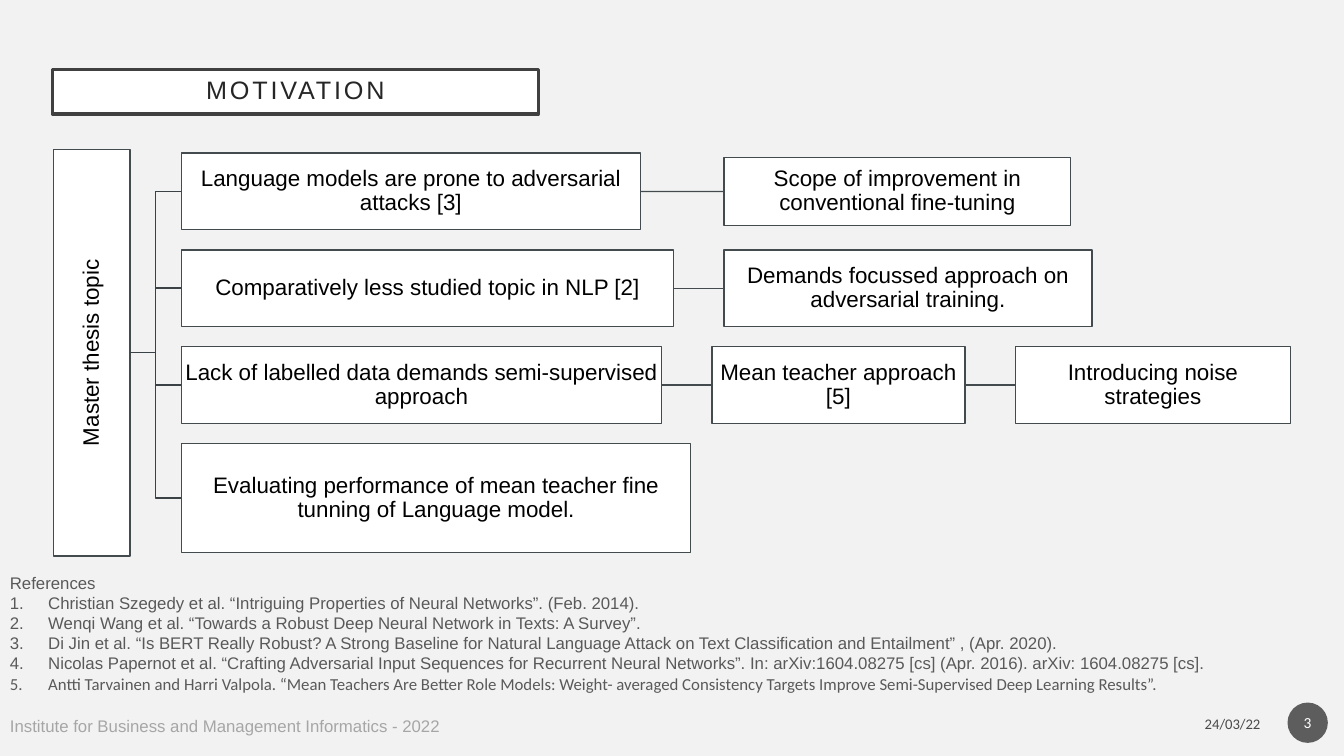
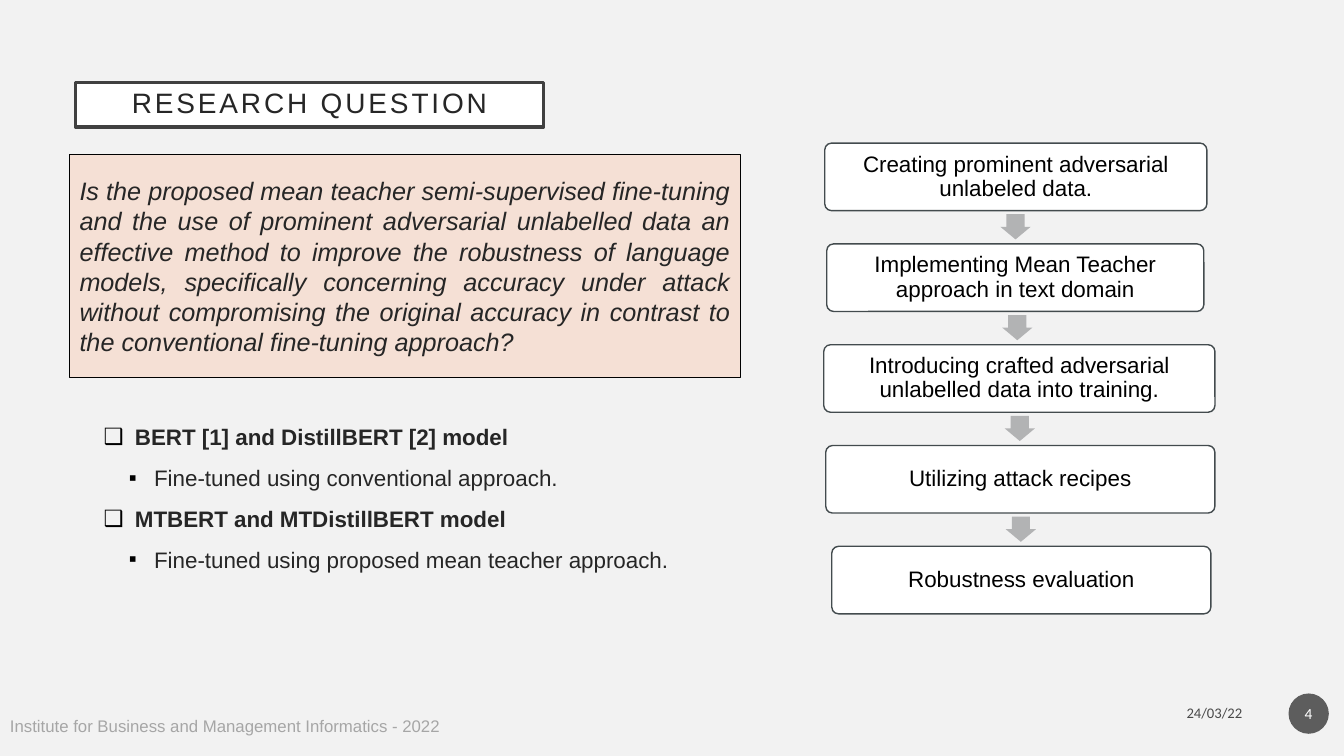
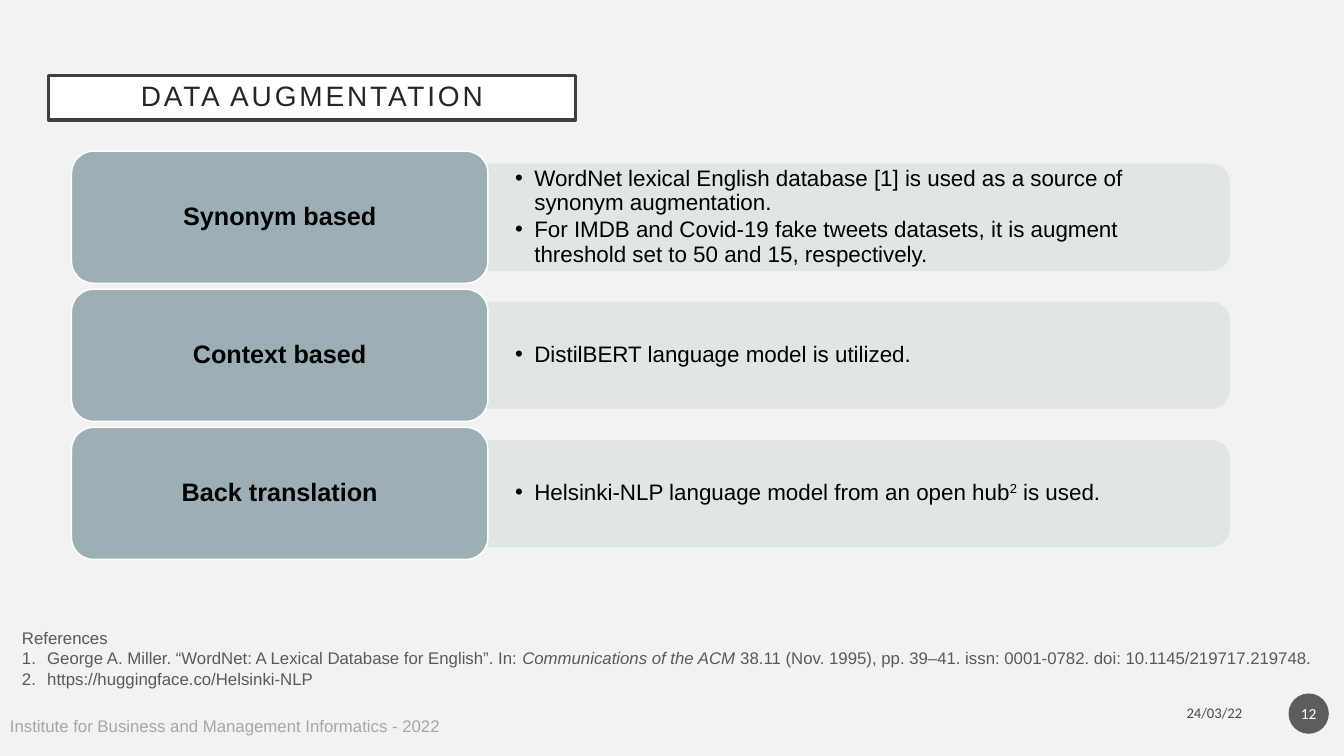
from lxml import etree
from pptx import Presentation
from pptx.dml.color import RGBColor
from pptx.enum.shapes import MSO_CONNECTOR, MSO_SHAPE
from pptx.enum.text import MSO_ANCHOR, PP_ALIGN
from pptx.oxml.ns import qn
from pptx.util import Inches, Pt

RECT, ROUND = MSO_SHAPE.RECTANGLE, MSO_SHAPE.ROUNDED_RECTANGLE
TAB, OVAL, DOWN = MSO_SHAPE.ROUND_2_SAME_RECTANGLE, MSO_SHAPE.OVAL, MSO_SHAPE.DOWN_ARROW
STRAIGHT, ELBOW = MSO_CONNECTOR.STRAIGHT, MSO_CONNECTOR.ELBOW
LEFT, MID, RIGHT, JUST = PP_ALIGN.LEFT, PP_ALIGN.CENTER, PP_ALIGN.RIGHT, PP_ALIGN.JUSTIFY
TOP, CENTER = MSO_ANCHOR.TOP, MSO_ANCHOR.MIDDLE

HUE = {
    "page": "F2F2F2", "white": "FFFFFF", "black": "000000", "frame": "404040",
    "ink": "262626", "note": "595959", "foot": "A6A6A6", "date": "494949",
    "disc": "5D5D5D", "edge": "434B4E", "link": "3B4245", "arrow": "B2B3B4",
    "peach": "F5E0D5", "slate": "9BAFB5", "pale": "E0E5E6",
}
FOOT = "Institute for Business and Management Informatics - 2022"
DATE = "24/03/22"

ROOT = "Master thesis topic"
TREE = [
    (0.76, 0.83, [("Language models are prone to adversarial attacks [3]", 4.55, 0.76),
                  ("Scope of improvement in conventional fine-tuning", 3.44, 0.68)]),
    (0.76, 0.5, [("Comparatively less studied topic in NLP [2]", 4.88, 0.76),
                 ("Demands focussed approach on adversarial training.", 3.65, 0.76)]),
    (0.76, 0.5, [("Lack of labelled data demands semi-supervised approach", 4.76, 0.76),
                 ("Mean teacher approach [5]", 2.51, 0.76),
                 ("Introducing noise strategies", 2.73, 0.76)]),
    (1.08, 0.5, [("Evaluating performance of mean teacher fine tunning of Language model.",
                  5.05, 1.08)]),
]
PAPERS = [
    "Christian Szegedy et al. “Intriguing Properties of Neural Networks”. (Feb. 2014).",
    "Wenqi Wang et al. “Towards a Robust Deep Neural Network in Texts: A Survey”.",
    "Di Jin et al. “Is BERT Really Robust? A Strong Baseline for Natural Language Attack "
    "on Text Classification and Entailment” , (Apr. 2020).",
    "Nicolas Papernot et al. “Crafting Adversarial Input Sequences for Recurrent Neural "
    "Networks”. In: arXiv:1604.08275 [cs] (Apr. 2016). arXiv: 1604.08275 [cs].",
    [("Antti Tarvainen and Harri Valpola. “Mean Teachers Are Better Role Models: Weight- "
      "averaged Consistency Targets Improve Semi-Supervised Deep Learning Results”.",
      {"font": "Calibri"})],
]

QUERY = ("Is the proposed mean teacher semi-supervised fine-tuning and the use of prominent "
         "adversarial unlabelled data an effective method to improve the robustness of "
         "language models, specifically concerning accuracy under attack without "
         "compromising the original accuracy in contrast to the conventional fine-tuning "
         "approach?")
MODELS = [
    ("BERT [1] and DistillBERT [2] model", "Fine-tuned using conventional approach."),
    ("MTBERT and MTDistillBERT model", "Fine-tuned using proposed mean teacher approach."),
]
STEPS = [
    ("Creating prominent adversarial unlabeled data.", 8.18, 3.79),
    ("Implementing Mean Teacher approach in text domain", 8.2, 3.74),
    ("Introducing crafted adversarial unlabelled data into training.", 8.17, 3.88),
    ("Utilizing attack recipes", 8.19, 3.86),
    ("Robustness evaluation", 8.25, 3.76),
]

KINDS = [
    ("Synonym based", [
        "WordNet lexical English database [1] is used as a source of synonym augmentation.",
        "For IMDB and Covid-19 fake tweets datasets, it is augment threshold set to 50 and "
        "15, respectively."]),
    ("Context based", ["DistilBERT language model is utilized."]),
    ("Back translation", [[("Helsinki-NLP language model from an open hub", {}),
                           ("2", {"base": 30000}), (" is used.", {})]]),
]
SOURCES = [
    [("George A. Miller. “WordNet: A Lexical Database for English”. In: ", {}),
     ("Communications of the ACM ", {"italic": True}),
     ("38.11 (Nov. 1995), pp. 39–41. issn: 0001-0782. doi: 10.1145/219717.219748.", {})],
    "https://huggingface.co/Helsinki-NLP",
]


def tint(name):
    return RGBColor.from_string(HUE[name])


def style(run, size, hue, font="Arial", bold=False, italic=False, base=None, track=None):
    run.font.size = Pt(size)
    run.font.name = font
    run.font.bold = bold
    run.font.italic = italic
    run.font.color.rgb = tint(hue)
    for key, value in (("baseline", base), ("spc", track)):
        if value:
            run.font._element.set(key, str(value))


def mark(para, sign, left, hang):
    props = para._p.get_or_add_pPr()
    props.set("marL", str(Inches(left)))
    props.set("indent", str(-Inches(hang)))
    if sign == "1.":
        etree.SubElement(props, qn("a:buFont"), typeface="Arial")
        etree.SubElement(props, qn("a:buAutoNum"), type="arabicPeriod")
        return
    shade = etree.SubElement(props, qn("a:buClr"))
    etree.SubElement(shade, qn("a:srgbClr"), val=HUE["black"])
    etree.SubElement(props, qn("a:buFont"), typeface="Arial")
    etree.SubElement(props, qn("a:buChar"), char=sign)


def write(shape, paras, size, hue="black", align=MID, anchor=CENTER, inset=(0.1, 0.05),
          lead=None, before=0, bullets=None, wrap=True, **look):
    frame = shape.text_frame
    frame.word_wrap = wrap
    frame.vertical_anchor = anchor
    frame.margin_left = frame.margin_right = Inches(inset[0])
    frame.margin_top = frame.margin_bottom = Inches(inset[1])
    for i, runs in enumerate(paras):
        para = frame.add_paragraph() if i else frame.paragraphs[0]
        para.alignment = align
        if lead:
            para.line_spacing = lead
        if i and before:
            para.space_before = Pt(before)
        if bullets and bullets[i]:
            mark(para, *bullets[i])
        for words, extra in [(runs, {})] if isinstance(runs, str) else runs:
            run = para.add_run()
            run.text = words
            style(run, size, hue, **{**look, **extra})
    return shape


def area(slide, *at):
    return slide.shapes.add_textbox(*map(Inches, at))


def block(slide, kind, at, fill, line=None, width=1, adjust=()):
    shape = slide.shapes.add_shape(kind, *map(Inches, at))
    shape.shadow.inherit = False
    shape.fill.solid()
    shape.fill.fore_color.rgb = tint(fill)
    if line:
        shape.line.color.rgb = tint(line)
        shape.line.width = Pt(width)
    else:
        shape.line.fill.background()
    for i, value in enumerate(adjust):
        shape.adjustments[i] = value
    return shape


def join(slide, kind, hue, x1, y1, x2, y2):
    line = slide.shapes.add_connector(kind, *map(Inches, (x1, y1, x2, y2)))
    line.line.color.rgb = tint(hue)
    line.line.width = Pt(1)
    etree.SubElement(line._element.spPr, qn("a:effectLst"))
    return line


def start(prs, title, at, size, page, date, disc):
    slide = prs.slides.add_slide(prs.slide_layouts[6])
    write(area(slide, 0, 7.05, 4.51, 0.3), [FOOT], 12, "foot", LEFT, TOP, wrap=False)
    write(area(slide, *date, 3.01, 0.35), [DATE], 10.5, "date", RIGHT, font="Calibri")
    write(block(slide, OVAL, (*disc, 0.4, 0.4), "disc"), [page], 11, "white",
          inset=(0.02, 0.05), font="Calibri")
    write(block(slide, RECT, (*at, 0.44), "white", "frame", 2.5), [title], size, "ink",
          inset=(0.2, 0.2), lead=0.9, track=200)
    return slide


def cite(slide, items, left, top, hang):
    write(area(slide, left, top, 13.06, 0.2 * len(items) + 0.31), ["References", *items],
          12, "note", LEFT, TOP, bullets=[None] + [("1.", hang, hang)] * len(items))


def motive(prs):
    slide = start(prs, "MOTIVATION", (0.52, 0.69, 4.82), 18, "3", (9.59, 7), (12.77, 6.97))
    cell = {"size": 16, "inset": (0.01, 0.01), "lead": 0.9}
    long, thick, left, mid = 4.03, 0.76, 0.53, 3.5
    root = block(slide, RECT, (left + (thick - long) / 2, mid - thick / 2, long, thick),
                 "white", "edge")
    root.rotation = 270
    write(root, [ROOT], **cell)
    stem, first, top = left + thick, 1.8, 1.52
    for tall, gap, nodes in TREE:
        y, x, prior = top + tall / 2, first, None
        join(slide, ELBOW, "link", stem, mid, first, y)
        for words, wide, high in nodes:
            node = block(slide, RECT, (x, y - high / 2, wide, high), "white", "edge")
            write(node, [words], **cell)
            if prior:
                line = join(slide, STRAIGHT, "edge", x - gap, y, x, y)
                line.begin_connect(prior, 3)
                line.end_connect(node, 1)
            prior, x = node, x + wide + gap
        top += tall + 0.2
    cite(slide, PAPERS, 0, 5.63, 0.38)


def question(prs):
    slide = start(prs, "RESEARCH QUESTION", (0.75, 0.82, 4.64), 20, "4",
                  (9.41, 6.89), (12.78, 6.88))
    write(block(slide, RECT, (0.69, 1.53, 6.65, 2.22), "peach", "black", 0.75), [QUERY],
          18, "ink", JUST, italic=True)
    lines = [part for head, text in MODELS for part in ([(head, {"bold": True})], text)]
    write(area(slide, 0.93, 4.15, 6.65, 1.62), lines, 16, "ink", LEFT, TOP, before=10,
          bullets=[("❑", 0.31, 0.31), ("▪", 0.5, 0.25)] * len(MODELS))
    top, tall, pitch = 1.42, 0.67, 1
    mids = [left + wide / 2 for _, left, wide in STEPS]
    for i, (words, left, wide) in enumerate(STEPS):
        y = top + i * pitch
        write(block(slide, ROUND, (left, y, wide, tall), "white", "edge", adjust=[0.1]),
              [words], 16, inset=(0.09, 0.09), lead=0.9)
        if i:
            x = (mids[i - 1] + mids[i]) / 2
            block(slide, DOWN, (x - 0.15, y - (pitch - tall) / 2 - 0.13, 0.3, 0.25),
                  "arrow", adjust=[0.6, 0.5])


def augment(prs):
    slide = start(prs, "DATA AUGMENTATION", (0.48, 0.75, 5.23), 20, "12",
                  (9.41, 6.89), (12.78, 6.88))
    left, top, wide, tall, pitch = 0.71, 1.5, 4.13, 1.31, 1.37
    long, thick, edge = 7.35, 1.05, 4.84
    for i, (name, facts) in enumerate(KINDS):
        y = top + i * pitch
        mid = y + tall / 2
        bar = block(slide, TAB, (edge + (long - thick) / 2, mid - long / 2, thick, long),
                    "pale", "pale")
        bar.rotation = 90
        write(area(slide, edge, mid - thick / 2, 7.3, thick), facts, 16, align=LEFT,
              inset=(0.27, 0), lead=0.9, before=2,
              bullets=[("•", 0.19, 0.19)] * len(facts))
        write(block(slide, ROUND, (left, y, wide, tall), "slate", "white"), [name], 18,
              lead=0.9, bold=True)
    cite(slide, SOURCES, 0.12, 6.18, 0.25)


def main():
    prs = Presentation()
    prs.slide_width, prs.slide_height = Inches(13.33), Inches(7.5)
    ground = prs.slide_master.background.fill
    ground.solid()
    ground.fore_color.rgb = tint("page")
    for build in (motive, question, augment):
        build(prs)
    prs.save("out.pptx")


if __name__ == "__main__":
    main()
